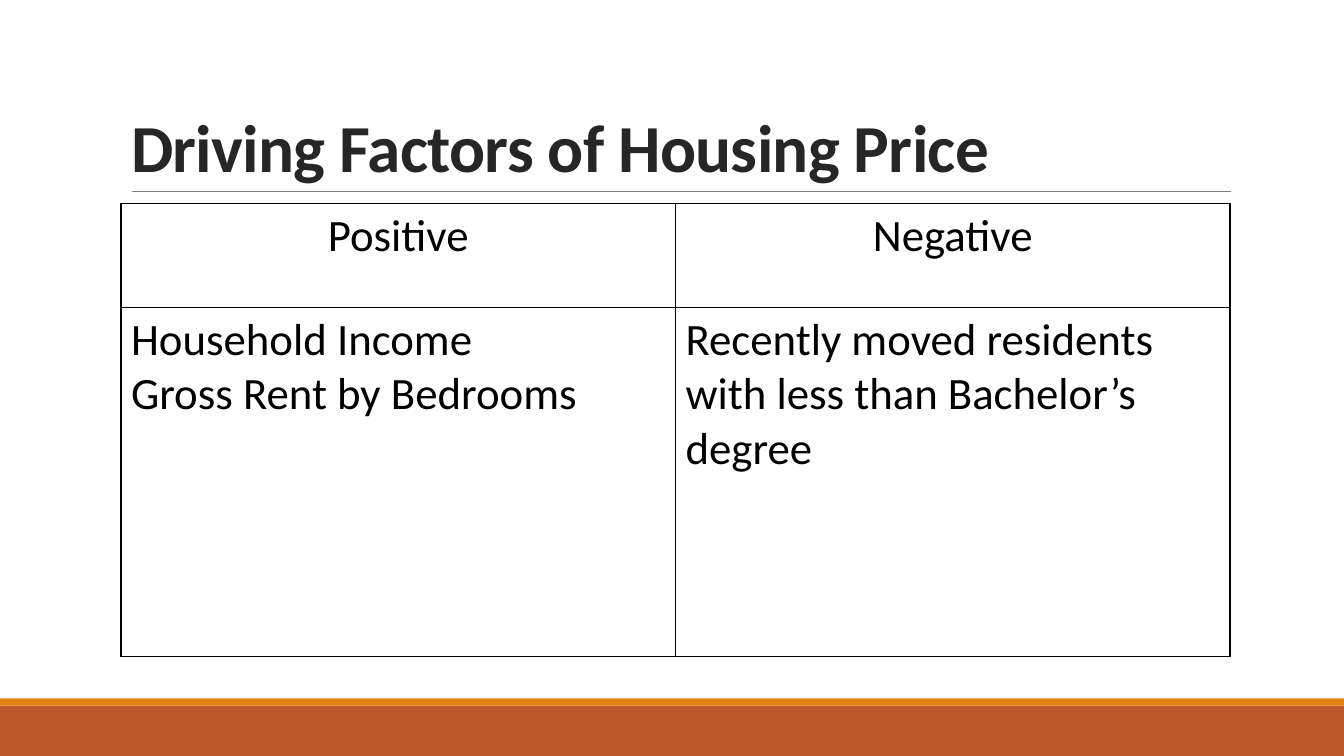
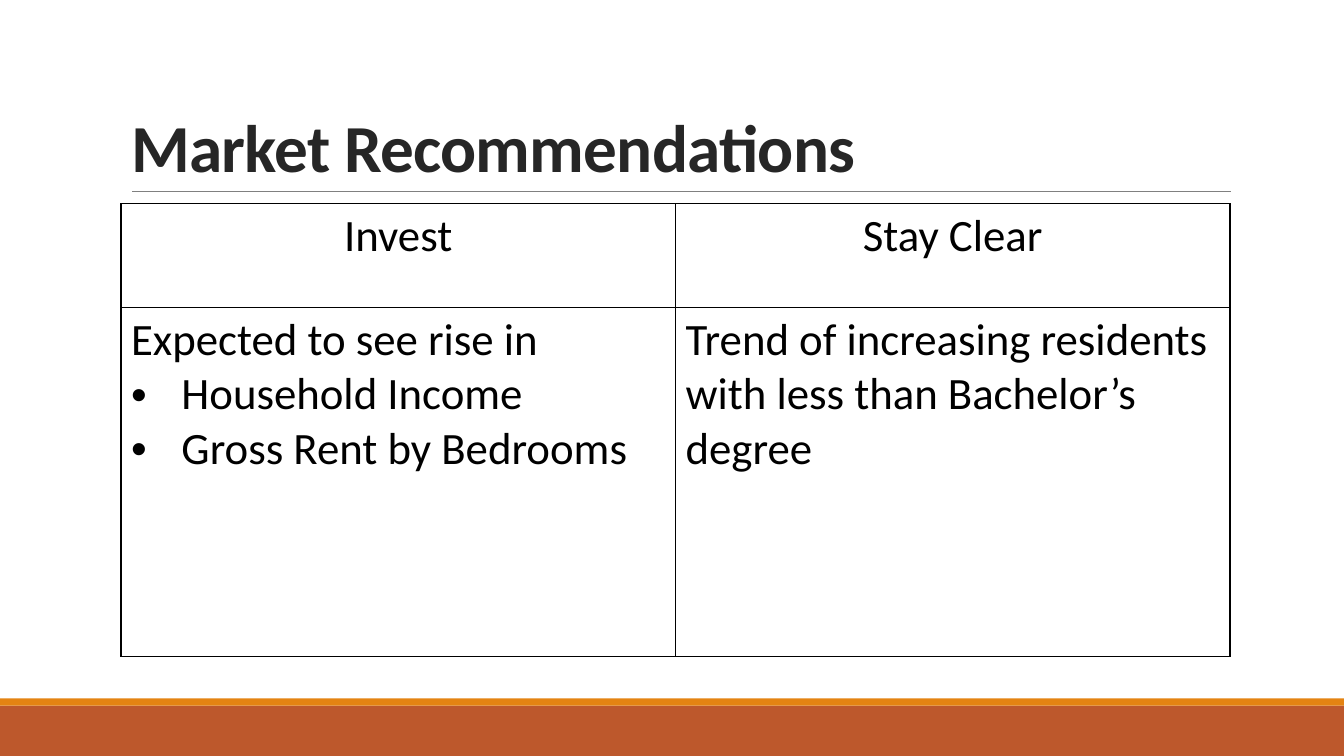
from dataclasses import dataclass

from lxml import etree
from pptx import Presentation
from pptx.dml.color import RGBColor
from pptx.enum.shapes import MSO_CONNECTOR, MSO_SHAPE
from pptx.enum.text import MSO_ANCHOR, MSO_AUTO_SIZE, PP_ALIGN
from pptx.oxml.ns import qn
from pptx.util import Inches, Pt

STRAIGHT = MSO_CONNECTOR.STRAIGHT
RECTANGLE = MSO_SHAPE.RECTANGLE
BOTTOM = MSO_ANCHOR.BOTTOM
NO_AUTOFIT = MSO_AUTO_SIZE.NONE
LEFT, CENTER = PP_ALIGN.LEFT, PP_ALIGN.CENTER

RUST = RGBColor(0xBD, 0x58, 0x2C)
ORANGE = RGBColor(0xE4, 0x83, 0x12)
GRAY = RGBColor(0x80, 0x80, 0x80)
CHARCOAL = RGBColor(0x26, 0x26, 0x26)
BLACK = RGBColor(0, 0, 0)

FONT = "Calibri"
SLIDE_WIDTH, SLIDE_HEIGHT = Inches(13.33), Inches(7.5)

# Content grid
CONTENT_LEFT, CONTENT_WIDTH = Inches(1.2), Inches(11)
TITLE_TOP, RULE_TOP, TABLE_TOP = Inches(0.31), Inches(1.9), Inches(2.02)
RULE_LEFT, RULE_RIGHT = Inches(1.31), Inches(12.21)
ROW_HEIGHTS = (Inches(1.03), Inches(3.46))
BULLET_INDENT = Inches(0.5)


@dataclass(frozen=True)
class Band:
    top: float
    height: float
    color: RGBColor


@dataclass(frozen=True)
class Line:
    text: str
    bullet: bool = False


@dataclass(frozen=True)
class Column:
    heading: str
    lines: tuple[Line, ...]


@dataclass(frozen=True)
class Comparison:
    title: str
    columns: tuple[Column, ...]


BANDS = (Band(7, 0.5, RUST), Band(6.93, 0.07, ORANGE))

COMPARISONS = (
    Comparison("Driving Factors of Housing Price", (
        Column("Positive", (Line("Household Income"),
                            Line("Gross Rent by Bedrooms"))),
        Column("Negative", (Line("Recently moved residents with less than Bachelor’s degree"),)),
    )),
    Comparison("Market Recommendations", (
        Column("Invest", (Line("Expected to see rise in"),
                          Line("Household Income", bullet=True),
                          Line("Gross Rent by Bedrooms", bullet=True))),
        Column("Stay Clear",
               (Line("Trend of increasing residents with less than Bachelor’s degree"),)),
    )),
)


def write_text(paragraph, text: str, *, size: float = 32, color: RGBColor = BLACK,
               bold: bool = False, align=LEFT, line_spacing: float = 1,
               tracking: float = 0, bullet: bool = False) -> None:
    paragraph.alignment = align
    paragraph.line_spacing = line_spacing
    run = paragraph.add_run()
    run.text = text
    run.font.name, run.font.size, run.font.bold = FONT, Pt(size), bold
    run.font.color.rgb = color
    if tracking:
        run.font._element.set("spc", str(round(tracking * 100)))
    if bullet:
        properties = paragraph._p.get_or_add_pPr()
        properties.set("marL", str(BULLET_INDENT))
        properties.set("indent", str(-BULLET_INDENT))
        etree.SubElement(properties, qn("a:buFont"), typeface="Arial")
        etree.SubElement(properties, qn("a:buChar"), char="•")


def draw_frame(slide) -> None:
    """Footer bands and the rule under the title."""
    for band in BANDS:
        shape = slide.shapes.add_shape(RECTANGLE, 0, Inches(band.top),
                                       SLIDE_WIDTH, Inches(band.height))
        shape.shadow.inherit = False
        shape.fill.solid()
        shape.fill.fore_color.rgb = band.color
        shape.line.fill.background()
    rule = slide.shapes.add_connector(STRAIGHT, RULE_LEFT, RULE_TOP, RULE_RIGHT, RULE_TOP)
    rule.line.color.rgb, rule.line.width = GRAY, Pt(0.5)
    etree.SubElement(rule._element.spPr, qn("a:effectLst"))


def draw_title(slide, text: str) -> None:
    title = slide.shapes.title
    title.left, title.top = CONTENT_LEFT, TITLE_TOP
    title.width, title.height = CONTENT_WIDTH, RULE_TOP - TITLE_TOP
    frame = title.text_frame
    frame.vertical_anchor, frame.auto_size, frame.word_wrap = BOTTOM, NO_AUTOFIT, True
    write_text(frame.paragraphs[0], text, size=48, color=CHARCOAL, bold=True,
               line_spacing=0.85, tracking=-0.5)


def format_cell(cell) -> None:
    """No fill, with a thin black border on every side."""
    cell.fill.background()
    properties = cell._tc.get_or_add_tcPr()
    for index, side in enumerate(("lnL", "lnR", "lnT", "lnB")):
        border = etree.Element(qn(f"a:{side}"), w=str(Pt(1)))
        fill = etree.SubElement(border, qn("a:solidFill"))
        etree.SubElement(fill, qn("a:srgbClr"), val=str(BLACK))
        properties.insert(index, border)


def draw_table(slide, columns: tuple[Column, ...]) -> None:
    table = slide.shapes.add_table(len(ROW_HEIGHTS), len(columns), CONTENT_LEFT, TABLE_TOP,
                                   CONTENT_WIDTH, sum(ROW_HEIGHTS)).table
    table.first_row = table.horz_banding = False
    for row, height in zip(table.rows, ROW_HEIGHTS):
        row.height = height
    for index, column in enumerate(columns):
        heading, body = table.cell(0, index), table.cell(1, index)
        write_text(heading.text_frame.paragraphs[0], column.heading, align=CENTER)
        frame = body.text_frame
        for number, line in enumerate(column.lines):
            paragraph = frame.add_paragraph() if number else frame.paragraphs[0]
            write_text(paragraph, line.text, bullet=line.bullet)
        for cell in (heading, body):
            format_cell(cell)


def main() -> None:
    presentation = Presentation()
    presentation.slide_width, presentation.slide_height = SLIDE_WIDTH, SLIDE_HEIGHT
    title_only = presentation.slide_layouts.get_by_name("Title Only")
    for comparison in COMPARISONS:
        slide = presentation.slides.add_slide(title_only)
        draw_frame(slide)
        draw_title(slide, comparison.title)
        draw_table(slide, comparison.columns)
    presentation.save("out.pptx")


if __name__ == "__main__":
    main()
